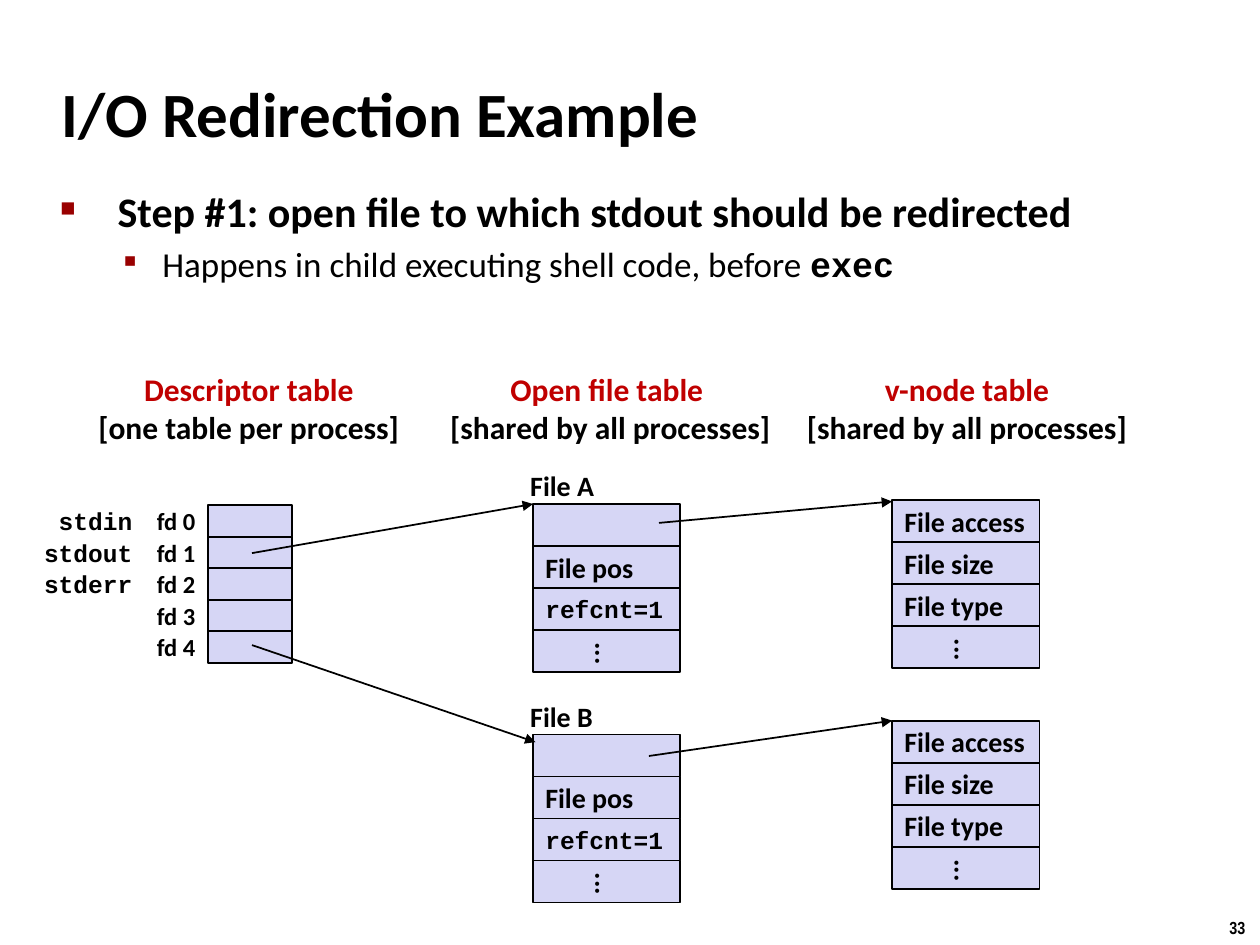
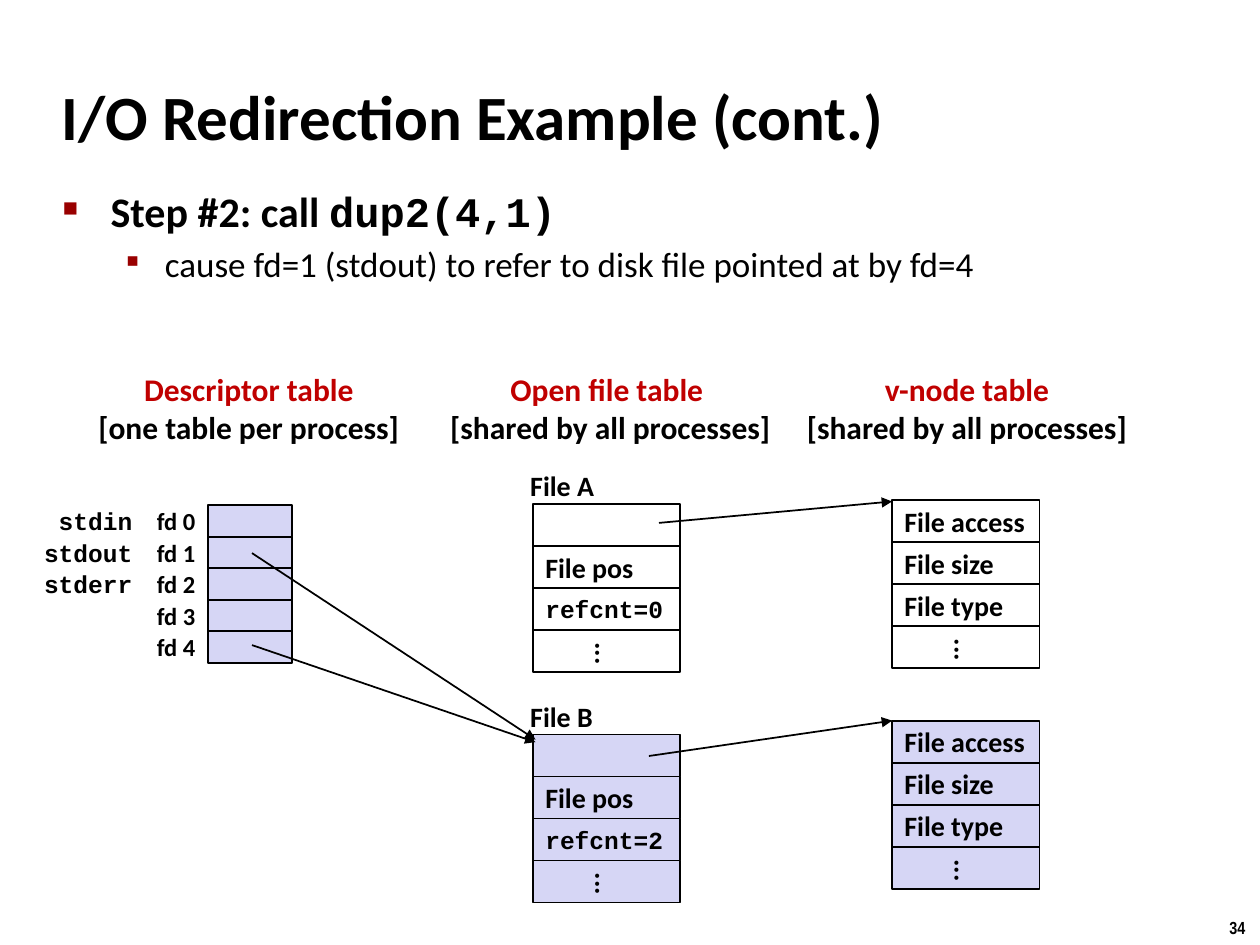
from lxml import etree
from pptx import Presentation
from pptx.dml.color import RGBColor
from pptx.enum.shapes import MSO_CONNECTOR, MSO_SHAPE
from pptx.enum.text import MSO_ANCHOR, PP_ALIGN
from pptx.oxml.ns import qn
from pptx.util import Inches, Pt

LEFT, CENTER, RIGHT = PP_ALIGN.LEFT, PP_ALIGN.CENTER, PP_ALIGN.RIGHT
TOP, MIDDLE = MSO_ANCHOR.TOP, MSO_ANCHOR.MIDDLE
RECTANGLE, STRAIGHT = MSO_SHAPE.RECTANGLE, MSO_CONNECTOR.STRAIGHT
TITLE_ONLY = 5

BLACK, WHITE = "000000", "FFFFFF"
HEADING_RED, BULLET_RED, LAVENDER = "C00000", "990000", "D6D6F5"
SANS, MONO, NARROW = "Calibri", "Courier New", "Arial Narrow"

BULLETS = [
    {"char": "■", "percent": 60, "size": 24, "margin": 0.38, "hang": 0.38},
    {"char": "▪", "percent": 110, "size": 20, "margin": 0.81, "hang": 0.31},
]
HEADINGS = [
    (0.67, 2.61, "Descriptor table", "[one table per process]"),
    (3.46, 2.77, "Open file table ", "[shared by all processes]"),
    (6.29, 2.77, "v-node table", "[shared by all processes]"),
]
STREAMS = ["stdin", "stdout", "stderr"]

FD_LEFT, FD_TOP, FD_WIDTH, FD_HEIGHT, FD_COUNT = 1.65, 4.01, 0.67, 0.25, 5
STREAM_LEFT, STREAM_WIDTH = 0.15, 1
OPEN_LEFT, VNODE_LEFT, ENTRY_WIDTH, ENTRY_HEIGHT = 4.23, 7.08, 1.17, 1 / 3
FD1_START, FD4_START = (2, 4.39), (2, 5.12)


def color(hex_string):
    return RGBColor.from_string(hex_string)


class Deck:
    def __init__(self):
        self.presentation = Presentation()
        self.presentation.slide_width = Inches(10)
        self.presentation.slide_height = Inches(7.5)
        self.slide = None

    def new_slide(self, title, title_top, number):
        layout = self.presentation.slide_layouts[TITLE_ONLY]
        self.slide = self.presentation.slides.add_slide(layout)
        heading = self.slide.shapes.title
        heading.left, heading.top = Inches(0.39), Inches(title_top)
        heading.width, heading.height = Inches(8.3), Inches(0.83)
        frame = heading.text_frame
        frame.word_wrap, frame.vertical_anchor = True, MIDDLE
        frame.paragraphs[0].alignment = LEFT
        self.run(frame.paragraphs[0], title, 36)
        self.label((9.66, 7.23, 0.34, 0.27), str(number), 10, NARROW, anchor=TOP)

    def run(self, paragraph, text, size, font=SANS, ink=BLACK, bold=True):
        piece = paragraph.add_run()
        piece.text = text
        piece.font.size, piece.font.name, piece.font.bold = Pt(size), font, bold
        piece.font.color.rgb = color(ink)

    def text_box(self, area, anchor=MIDDLE, wrap=False):
        box = self.slide.shapes.add_textbox(*map(Inches, area))
        box.text_frame.word_wrap = wrap
        box.text_frame.vertical_anchor = anchor
        return box.text_frame

    def label(self, area, text, size, font=SANS, align=LEFT, anchor=MIDDLE):
        paragraph = self.text_box(area, anchor).paragraphs[0]
        paragraph.alignment = align
        self.run(paragraph, text, size, font)

    def heading(self, left, width, name, scope):
        frame = self.text_box((left, 2.88, width, 0.71))
        lines = [(frame.paragraphs[0], name, HEADING_RED),
                 (frame.add_paragraph(), scope, BLACK)]
        for paragraph, text, ink in lines:
            paragraph.alignment = CENTER
            self.run(paragraph, text, 18, ink=ink)

    def bullets(self, left, width, points):
        frame = self.text_box((left, 1.42, width, 1.08), TOP, wrap=True)
        for level, (style, pieces) in enumerate(zip(BULLETS, points)):
            paragraph = frame.add_paragraph() if level else frame.paragraphs[0]
            paragraph.level = level
            paragraph.space_before = Pt(style["size"] * 0.2)
            properties = paragraph._p.get_or_add_pPr()
            properties.set("marL", str(Inches(style["margin"])))
            properties.set("indent", str(-Inches(style["hang"])))
            tint = etree.SubElement(properties, qn("a:buClr"))
            etree.SubElement(tint, qn("a:srgbClr"), val=BULLET_RED)
            etree.SubElement(properties, qn("a:buSzPct"), val=str(style["percent"] * 1000))
            etree.SubElement(properties, qn("a:buFont"), typeface=NARROW)
            etree.SubElement(properties, qn("a:buChar"), char=style["char"])
            for text, font, bold in pieces:
                self.run(paragraph, text, style["size"], font, bold=bold)

    def cell(self, area, fill, text="", size=16, font=SANS, vertical=False):
        box = self.slide.shapes.add_shape(RECTANGLE, *map(Inches, area))
        box.shadow.inherit = False
        box.fill.solid()
        box.fill.fore_color.rgb = color(fill)
        box.line.color.rgb = color(BLACK)
        box.line.width = Pt(1)
        if text:
            frame = box.text_frame
            frame.word_wrap, frame.vertical_anchor = False, MIDDLE
            frame.paragraphs[0].alignment = LEFT
            self.run(frame.paragraphs[0], text, size, font)
            if vertical:
                box.element.find(".//" + qn("a:bodyPr")).set("vert", "eaVert")

    def entry(self, left, top, fill, fields):
        for row, field in enumerate(fields):
            size, font = (14, MONO) if field.startswith("refcnt") else (16, SANS)
            area = (left, top + row * ENTRY_HEIGHT, ENTRY_WIDTH, ENTRY_HEIGHT)
            self.cell(area, fill, field, size, font, vertical=field == "...")

    def arrow(self, start, end):
        pointer = self.slide.shapes.add_connector(STRAIGHT, *map(Inches, start + end))
        pointer.line.color.rgb = color(BLACK)
        pointer.line.width = Pt(1)
        properties = pointer.element.spPr
        etree.SubElement(properties.find(qn("a:ln")), qn("a:tailEnd"), type="triangle")
        etree.SubElement(properties, qn("a:effectLst"))

    def descriptor_table(self):
        for fd in range(FD_COUNT):
            top = FD_TOP + fd * FD_HEIGHT
            self.cell((FD_LEFT, top, FD_WIDTH, FD_HEIGHT), LAVENDER)
            self.label((FD_LEFT - FD_WIDTH, top, FD_WIDTH, FD_HEIGHT), f"fd {fd}", 14, align=RIGHT)
        for fd, stream in enumerate(STREAMS):
            area = (STREAM_LEFT, 3.97 + fd * FD_HEIGHT, STREAM_WIDTH, 0.33)
            self.label(area, stream, 14, MONO, align=RIGHT)

    def open_file(self, name, open_top, vnode_top, refcnt, fill, link):
        self.entry(OPEN_LEFT, open_top, fill, ["", "File pos", f"refcnt={refcnt}", "..."])
        self.entry(VNODE_LEFT, vnode_top, fill, ["File access", "File size", "File type", "..."])
        self.label((4.11, open_top - 0.33, 0.71, 0.37), name, 16)
        self.arrow(*link)

    def file_tables(self, refcnt_a, refcnt_b, fill_a, fd1_target):
        for heading in HEADINGS:
            self.heading(*heading)
        self.descriptor_table()
        self.open_file("File A", 4, 3.97, refcnt_a, fill_a, ((5.23, 4.15), (VNODE_LEFT, 3.98)))
        self.open_file("File B", 5.83, 5.72, refcnt_b, LAVENDER, ((5.15, 6), (VNODE_LEFT, 5.72)))
        self.arrow(FD1_START, fd1_target)
        self.arrow(FD4_START, (4.25, 5.89))


def main():
    deck = Deck()

    deck.new_slide("I/O Redirection Example", 0.48, 33)
    deck.bullets(0.38, 9.35, [
        [(" Step #1: open file to which stdout should be redirected", SANS, True)],
        [("Happens in child executing shell code, before ", SANS, False), ("exec", MONO, True)],
    ])
    deck.file_tables(1, 1, LAVENDER, (OPEN_LEFT, 4))

    deck.new_slide("I/O Redirection Example (cont.)", 0.5, 34)
    deck.bullets(0.4, 9.43, [
        [("Step #2: call ", SANS, True), ("dup2(4,1)", MONO, True)],
        [("cause fd=1 (stdout) to refer to disk file pointed at by fd=4", SANS, False)],
    ])
    deck.file_tables(0, 2, WHITE, (4.25, 5.87))

    deck.presentation.save("out.pptx")


if __name__ == "__main__":
    main()
